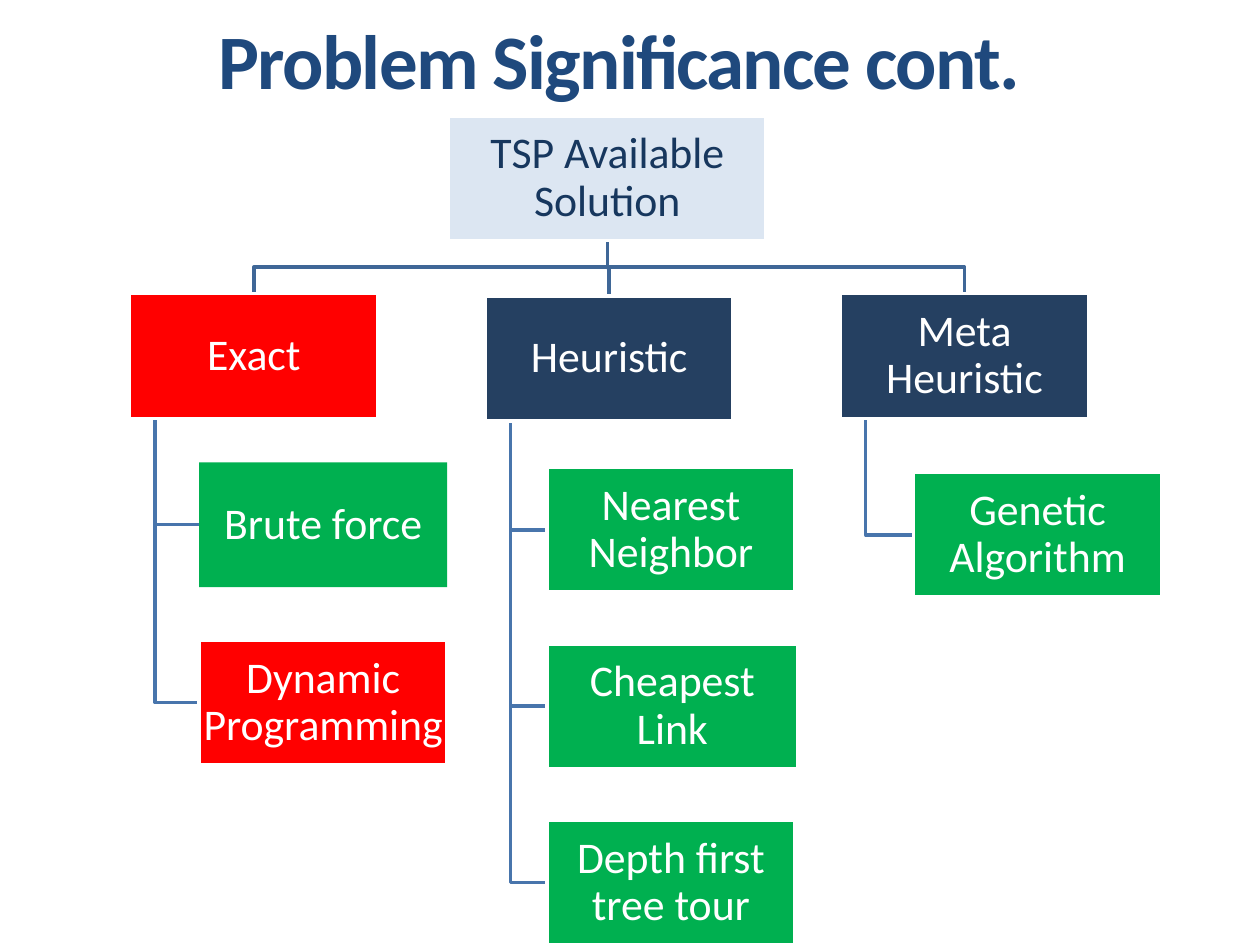
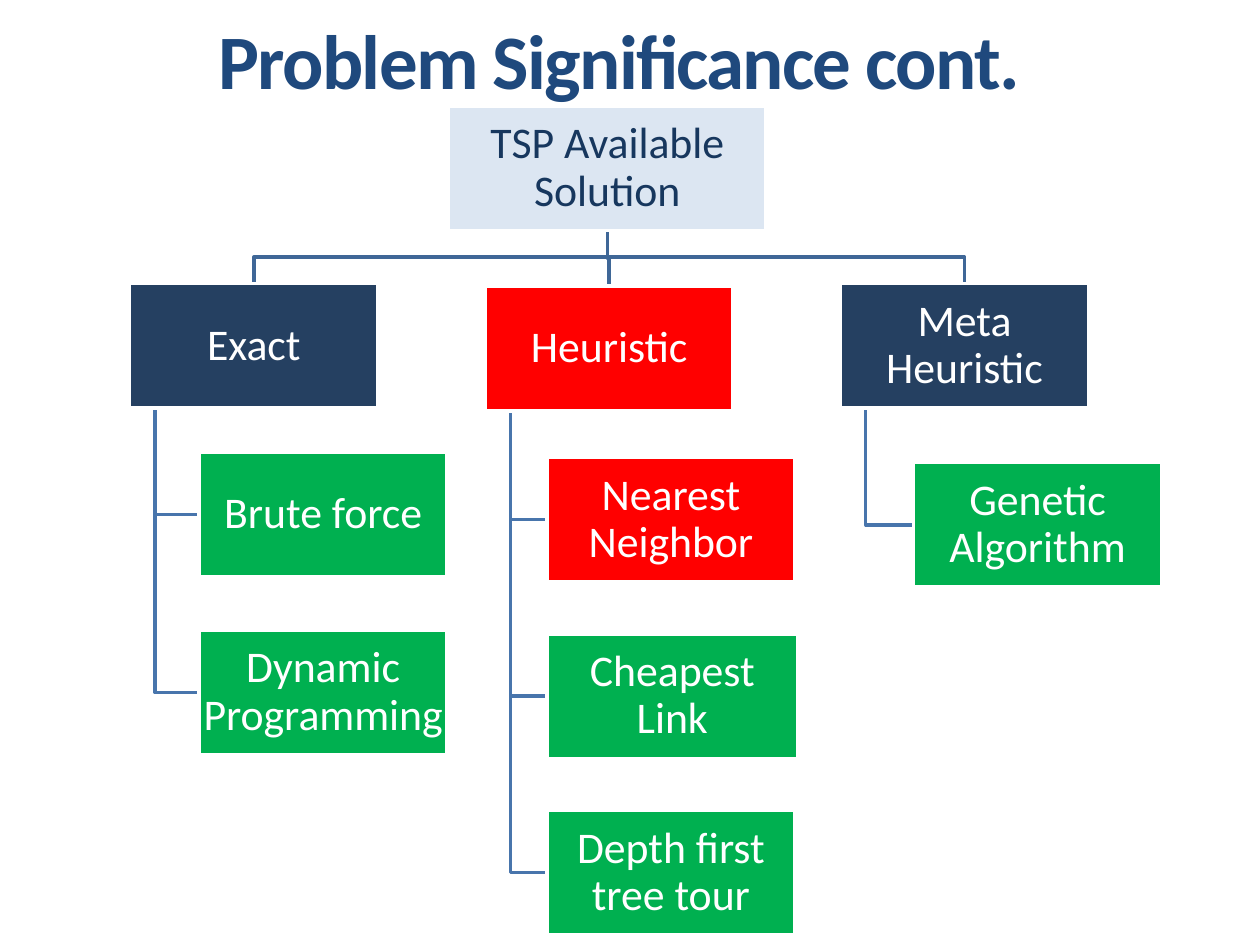
from dataclasses import dataclass

import pptx
import pptx.dml.color
import pptx.enum.shapes
import pptx.enum.text
import pptx.presentation
import pptx.shapes.autoshape
import pptx.slide
import pptx.util
from pptx.util import Inches

RGBColor = pptx.dml.color.RGBColor
WHITE = RGBColor(0xFF, 0xFF, 0xFF)
PALE = RGBColor(0xDC, 0xE6, 0xF2)
INK = RGBColor(0x17, 0x37, 0x5E)
NAVY = RGBColor(0x25, 0x40, 0x61)
RED = RGBColor(0xFF, 0x00, 0x00)
GREEN = RGBColor(0x00, 0xB0, 0x50)
TITLE = RGBColor(0x1F, 0x49, 0x7D)
TRUNK = RGBColor(0x3F, 0x67, 0x97)
TWIG = RGBColor(0x48, 0x75, 0xAC)

FONT = "Calibri"
WIDTH = 1.97
HEIGHT = 0.99
STEM = 0.2


@dataclass(frozen=True)
class Box:
    text: str
    left: float
    top: float
    fill: RGBColor
    width: float = WIDTH
    ink: RGBColor = WHITE

    @property
    def mid(self) -> float:
        return self.left + self.width / 2

    @property
    def base(self) -> float:
        return self.top + HEIGHT


@dataclass(frozen=True)
class Branch:
    text: str
    left: float
    top: float
    indent: float
    first: float
    step: float
    leaves: tuple[str, ...]


@dataclass(frozen=True)
class Stage:
    shift: float
    marked: tuple[str, ...]
    bare: tuple[str, ...] = ()


BRANCHES = (
    Branch("Exact", 1.03, 2.33, 0.55, 3.67, 1.41, ("Brute force", "Dynamic Programming")),
    Branch("Heuristic", 3.85, 2.35, 0.49, 3.71, 1.4,
           ("Nearest Neighbor", "Cheapest Link", "Depth first tree tour")),
    Branch("Meta Heuristic", 6.67, 2.33, 0.58, 3.75, 1.4, ("Genetic Algorithm",)),
)
STAGES = (
    Stage(0, ("Exact", "Dynamic Programming"), ("Brute force",)),
    Stage(-0.08, ("Heuristic", "Nearest Neighbor")),
)
WIDE = {"Cheapest Link": 1.99}


def draw_title(slide: pptx.slide.Slide) -> None:
    frame = slide.shapes.add_textbox(Inches(1), Inches(0.33), Inches(7.83), Inches(0.92)).text_frame
    frame.word_wrap = True
    frame.vertical_anchor = pptx.enum.text.MSO_ANCHOR.MIDDLE
    frame.margin_top, frame.margin_bottom = 0, Inches(0.65)
    para = frame.paragraphs[0]
    run = para.add_run()
    run.text = "Problem Significance cont."
    run._r.get_or_add_rPr().set("spc", "-100")
    para.alignment = pptx.enum.text.PP_ALIGN.CENTER
    para.font.name = FONT
    para.font.size = pptx.util.Pt(44)
    para.font.bold = True
    para.font.color.rgb = TITLE


def draw_box(slide: pptx.slide.Slide, box: Box, edge: bool = True) -> None:
    shape = slide.shapes.add_shape(
        pptx.enum.shapes.MSO_SHAPE.RECTANGLE,
        Inches(box.left), Inches(box.top), Inches(box.width), Inches(HEIGHT))
    shape.shadow.inherit = False
    shape.fill.solid()
    shape.fill.fore_color.rgb = box.fill
    if edge:
        shape.line.color.rgb = WHITE
        shape.line.width = pptx.util.Pt(2)
    else:
        shape.line.fill.background()
    frame = shape.text_frame
    frame.word_wrap = True
    frame.vertical_anchor = pptx.enum.text.MSO_ANCHOR.MIDDLE
    frame.margin_left = frame.margin_right = Inches(0.02)
    frame.margin_top = frame.margin_bottom = Inches(0.02)
    para = frame.paragraphs[0]
    para.text = box.text
    para.alignment = pptx.enum.text.PP_ALIGN.CENTER
    para.line_spacing = 0.9
    para.font.name = FONT
    para.font.size = pptx.util.Pt(25)
    para.font.color.rgb = box.ink


def draw_link(slide: pptx.slide.Slide, points: list[tuple[float, float]], color: RGBColor) -> None:
    start, *rest = [(Inches(x), Inches(y)) for x, y in points]
    pen = slide.shapes.build_freeform(*start)
    pen.add_line_segments(rest, close=False)
    link = pen.convert_to_shape()
    link.shadow.inherit = False
    link.fill.background()
    link.line.color.rgb = color
    link.line.width = pptx.util.Pt(2)


def draw_tree(slide: pptx.slide.Slide, stage: Stage) -> None:
    root = Box("TSP Available Solution", 3.56, 0.92 + stage.shift, PALE, 2.52, INK)
    boxes = [root]
    for branch in BRANCHES:
        head = Box(branch.text, branch.left, branch.top + stage.shift,
                   RED if branch.text in stage.marked else NAVY)
        boxes.append(head)
        turn = (root.base + head.top) / 2
        draw_link(slide, [(root.mid, root.base), (root.mid, turn),
                          (head.mid, turn), (head.mid, head.top)], TRUNK)
        for row, text in enumerate(branch.leaves):
            leaf = Box(text, branch.left + branch.indent,
                       branch.first + row * branch.step + stage.shift,
                       RED if text in stage.marked else GREEN, WIDE.get(text, WIDTH))
            boxes.append(leaf)
            stem = head.left + STEM
            level = leaf.top + HEIGHT / 2
            draw_link(slide, [(stem, head.base), (stem, level), (leaf.left, level)], TWIG)
    for box in boxes:
        draw_box(slide, box, box.text not in stage.bare)


def main() -> None:
    deck = pptx.Presentation()
    deck.slide_width, deck.slide_height = Inches(10), Inches(7.5)
    for stage in STAGES:
        slide = deck.slides.add_slide(deck.slide_layouts[6])
        draw_tree(slide, stage)
        draw_title(slide)
    deck.save("out.pptx")


if __name__ == "__main__":
    main()
